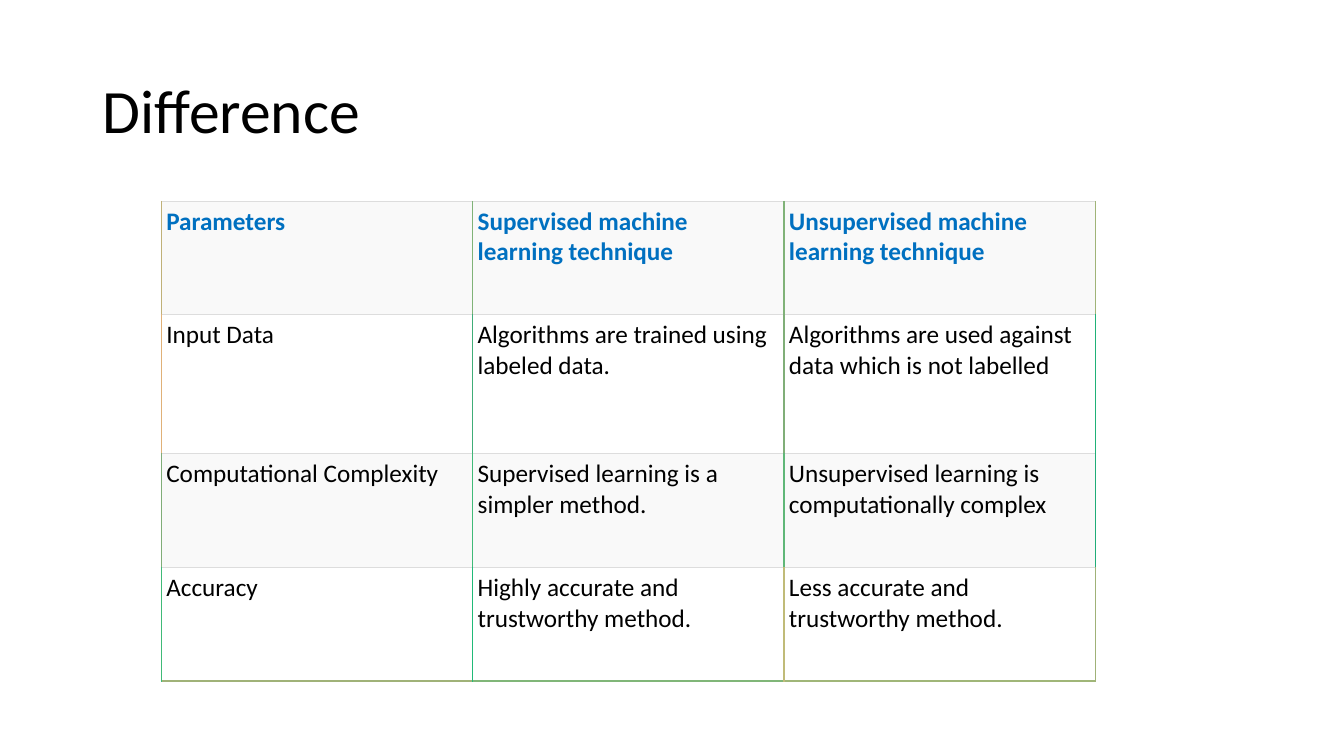
from lxml import etree
from pptx import Presentation
from pptx import util as u
from pptx.dml import color
from pptx.enum import text
from pptx.oxml import ns

HEADER = ["Parameters", "Supervised machine learning technique",
          "Unsupervised machine learning technique"]
BODY = [
    ["Input Data", "Algorithms are trained using labeled data.",
     "Algorithms are used against data which is not labelled"],
    ["Computational Complexity", "Supervised learning is a simpler method.",
     "Unsupervised learning is computationally complex"],
    ["Accuracy", "Highly accurate and trustworthy method.",
     "Less accurate and trustworthy method."],
]
ROW_HEIGHTS = [1.13, 1.38, 1.13, 1.13]

# Vertical rules of each row, from left to right
VERTICAL_RULES = [
    ["C0B178", "80B378", "80B278", "A0B478"],
    ["E0B178", "40AD78", "80AE78", "20B278"],
    ["80AD78", "40BA78", "60B778", "20AD78"],
    ["40BA78", "20BA78", "C0BB78", "A0B278"],
]
BOTTOM_RULES = ["A0B278", "80B678", "A0B678"]
GRID_RULE = ("DDDDDD", 0.5)
RULE_WIDTH = 0.96


def rgb(value):
    return color.RGBColor.from_string(value)


class SlideBuilder:
    font = "Calibri"
    title_size = 44
    cell_size = 18
    ink = "000000"
    accent = "0070C0"
    bands = ["F9F9F9", "FFFFFF"]
    cell_margin = u.Inches(0.05)

    def __init__(self, presentation):
        self.width = presentation.slide_width
        self.height = presentation.slide_height
        self.slide = presentation.slides.add_slide(presentation.slide_layouts[6])

    def box(self, left, top, width, height):
        """Turn shares of the slide into lengths."""
        return (int(left * self.width), int(top * self.height),
                int(width * self.width), int(height * self.height))

    def style(self, paragraph, size, ink, bold=False):
        for run in paragraph.runs:
            run.font.name = self.font
            run.font.size = u.Pt(size)
            run.font.bold = bold
            run.font.color.rgb = rgb(ink)

    def title(self, words, *shares):
        frame = self.slide.shapes.add_textbox(*self.box(*shares)).text_frame
        frame.word_wrap = True
        frame.vertical_anchor = text.MSO_ANCHOR.MIDDLE
        frame.text = words
        frame.paragraphs[0].line_spacing = 0.9
        self.style(frame.paragraphs[0], self.title_size, self.ink)

    def border(self, cell, side, ink, points):
        properties = cell._tc.get_or_add_tcPr()
        line = etree.SubElement(properties, ns.qn("a:ln" + side), w=str(u.Pt(points)))
        fill = etree.SubElement(line, ns.qn("a:solidFill"))
        etree.SubElement(fill, ns.qn("a:srgbClr"), val=ink)

    def cell(self, cell, words, ink, bold, band, borders):
        cell.margin_left = cell.margin_right = self.cell_margin
        cell.margin_top = cell.margin_bottom = self.cell_margin
        cell.text_frame.text = words
        self.style(cell.text_frame.paragraphs[0], self.cell_size, ink, bold)
        # Borders come before the fill in the cell's properties
        for side, (rule, points) in borders.items():
            self.border(cell, side, rule, points)
        cell.fill.solid()
        cell.fill.fore_color.rgb = rgb(band)

    def table(self, rows, row_heights, *shares):
        left, top, width, height = self.box(*shares)
        column_count = len(rows[0])
        table = self.slide.shapes.add_table(
            len(rows), column_count, left, top, width, height).table
        for column in table.columns:
            column.width = width // column_count
        for r, words_in_row in enumerate(rows):
            table.rows[r].height = int(height * row_heights[r] / sum(row_heights))
            is_header, is_last = r == 0, r == len(rows) - 1
            for c, words in enumerate(words_in_row):
                borders = {
                    "L": (VERTICAL_RULES[r][c], RULE_WIDTH),
                    "R": (VERTICAL_RULES[r][c + 1], RULE_WIDTH),
                    "T": GRID_RULE,
                    "B": (BOTTOM_RULES[c], RULE_WIDTH) if is_last else GRID_RULE,
                }
                self.cell(table.cell(r, c), words,
                          self.accent if is_header else self.ink,
                          is_header, self.bands[r % 2], borders)


def main():
    presentation = Presentation()
    presentation.slide_width = u.Inches(13.33)
    presentation.slide_height = u.Inches(7.5)
    builder = SlideBuilder(presentation)

    # Heading
    builder.title("Difference", 0.069, 0.053, 0.863, 0.193)

    # Comparison table
    builder.table([HEADER] + BODY, ROW_HEIGHTS, 0.12, 0.266, 0.695, 0.635)

    presentation.save("out.pptx")


if __name__ == "__main__":
    main()
